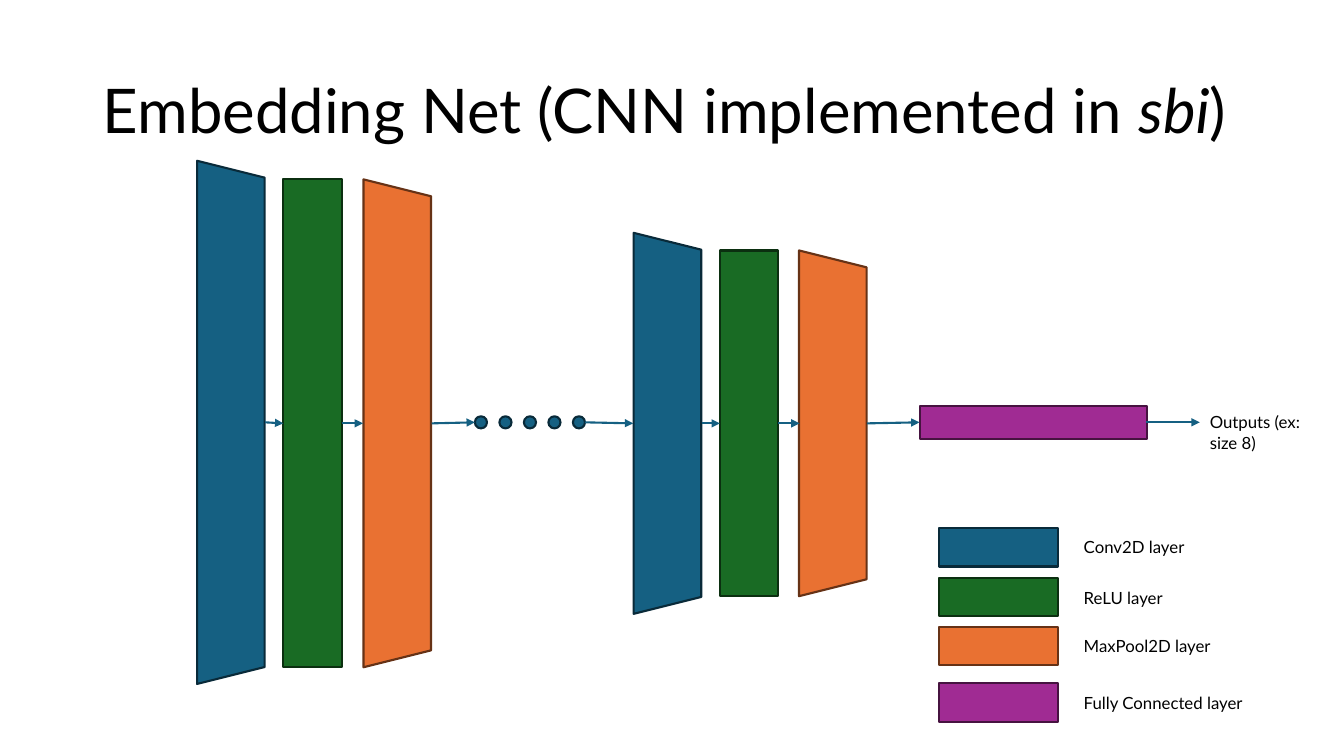
from typing import NamedTuple

from lxml.etree import SubElement
from pptx import Presentation
from pptx.dml.color import RGBColor
from pptx.enum.shapes import MSO_CONNECTOR, MSO_SHAPE as Shape
from pptx.enum.text import MSO_ANCHOR
from pptx.oxml.ns import qn
from pptx.util import Inches, Pt

FONT = "Lato"
BLACK = "000000"
LINE_WIDTH = 1.5
AXIS = 4.19


class Style(NamedTuple):
    label: str
    fill: str
    line: str
    shape: Shape
    turned: bool


class Layer(NamedTuple):
    style: Style
    cx: float
    cy: float
    width: float
    height: float


class Arrow(NamedTuple):
    x1: float
    y1: float
    x2: float
    y2: float


class LegendRow(NamedTuple):
    style: Style
    box_top: float
    text_top: float


CONV = Style("Conv2D layer", "156082", "092A39", Shape.TRAPEZOID, True)
RELU = Style("ReLU layer", "196B24", "0B2F10", Shape.RECTANGLE, False)
POOL = Style("MaxPool2D layer", "E97132", "663216", Shape.TRAPEZOID, True)
FULL = Style("Fully Connected layer", "A02B93", "461340", Shape.RECTANGLE, True)

LAYERS = [
    Layer(CONV, 2.29, 4.19, 0.67, 5.19),
    Layer(RELU, 3.1, 4.2, 0.58, 4.84),
    Layer(POOL, 3.94, 4.2, 0.67, 4.84),
    Layer(CONV, 6.62, 4.2, 0.67, 3.78),
    Layer(RELU, 7.43, 4.2, 0.58, 3.43),
    Layer(POOL, 8.26, 4.2, 0.67, 3.43),
    Layer(FULL, 10.25, AXIS, 2.25, 0.33),
]

ARROWS = [
    Arrow(2.63, AXIS, 2.81, 4.2),
    Arrow(3.39, 4.2, 3.6, 4.2),
    Arrow(4.28, 4.2, 4.71, AXIS),
    Arrow(5.8, AXIS, 6.28, 4.2),
    Arrow(6.96, 4.2, 7.14, 4.2),
    Arrow(7.72, 4.2, 7.93, 4.2),
    Arrow(8.6, 4.2, 9.12, AXIS),
    Arrow(11.37, AXIS, 11.9, AXIS),
]

LEGEND = [
    LegendRow(CONV, 5.24, 5.28),
    LegendRow(RELU, 5.73, 5.78),
    LegendRow(POOL, 6.22, 6.26),
    LegendRow(FULL, 6.78, 6.82),
]

DOT_COUNT, DOT_SIZE, DOT_LEFT, DOT_STEP = 5, 0.12, 4.71, 0.243


def rgb(color: str) -> RGBColor:
    return RGBColor.from_string(color)


def add_block(s, shape: Shape, style: Style, left: float, top: float,
              width: float, height: float):
    sp = s.shapes.add_shape(shape, Inches(left), Inches(top), Inches(width), Inches(height))
    sp.shadow.inherit = False
    sp.fill.solid()
    sp.fill.fore_color.rgb = rgb(style.fill)
    sp.line.color.rgb = rgb(style.line)
    sp.line.width = Pt(LINE_WIDTH)
    return sp


def add_layer(s, layer: Layer) -> None:
    w, h = layer.width, layer.height
    if layer.style.turned:
        w, h = h, w
    sp = add_block(s, layer.style.shape, layer.style, layer.cx - w / 2, layer.cy - h / 2, w, h)
    if layer.style.turned:
        sp.rotation = 90


def add_arrow(s, arrow: Arrow) -> None:
    cxn = s.shapes.add_connector(MSO_CONNECTOR.STRAIGHT, *(Inches(v) for v in arrow))
    cxn.line.color.rgb = rgb(CONV.fill)
    cxn.line.width = Pt(LINE_WIDTH)
    SubElement(cxn.line._get_or_add_ln(), qn("a:tailEnd"), type="triangle")
    SubElement(cxn._element.spPr, qn("a:effectLst"))


def add_text(s, text: str, left: float, top: float, width: float, height: float,
             size: float = 12):
    tf = s.shapes.add_textbox(Inches(left), Inches(top), Inches(width), Inches(height)).text_frame
    tf.word_wrap = True
    p = tf.paragraphs[0]
    p.font.name = FONT
    p.font.size = Pt(size)
    p.font.color.rgb = rgb(BLACK)
    p.add_run().text = text
    return tf


def add_title(s) -> None:
    tf = add_text(s, "Embedding Net (CNN implemented in ", 0.92, 0.4, 11.5, 1.45, 44)
    tf.vertical_anchor = MSO_ANCHOR.MIDDLE
    p = tf.paragraphs[0]
    p.line_spacing = 0.9
    r = p.add_run()
    r.text = "sbi"
    r.font.italic = True
    p.add_run().text = ")"


def main() -> None:
    prs = Presentation()
    prs.slide_width, prs.slide_height = Inches(13.33), Inches(7.5)
    s = prs.slides.add_slide(prs.slide_layouts[6])
    add_title(s)
    for layer in LAYERS:
        add_layer(s, layer)
    for i in range(DOT_COUNT):
        add_block(s, Shape.OVAL, CONV, DOT_LEFT + i * DOT_STEP, AXIS - DOT_SIZE / 2,
                  DOT_SIZE, DOT_SIZE)
    for arrow in ARROWS:
        add_arrow(s, arrow)
    add_text(s, "Outputs (ex: size 8)", 11.9, 4.04, 1.19, 0.5)
    for row in LEGEND:
        add_block(s, Shape.RECTANGLE, row.style, 9.31, row.box_top, 1.18, 0.38)
        add_text(s, row.style.label, 10.65, row.text_top, 1.98, 0.3)
    prs.save("out.pptx")


if __name__ == "__main__":
    main()
